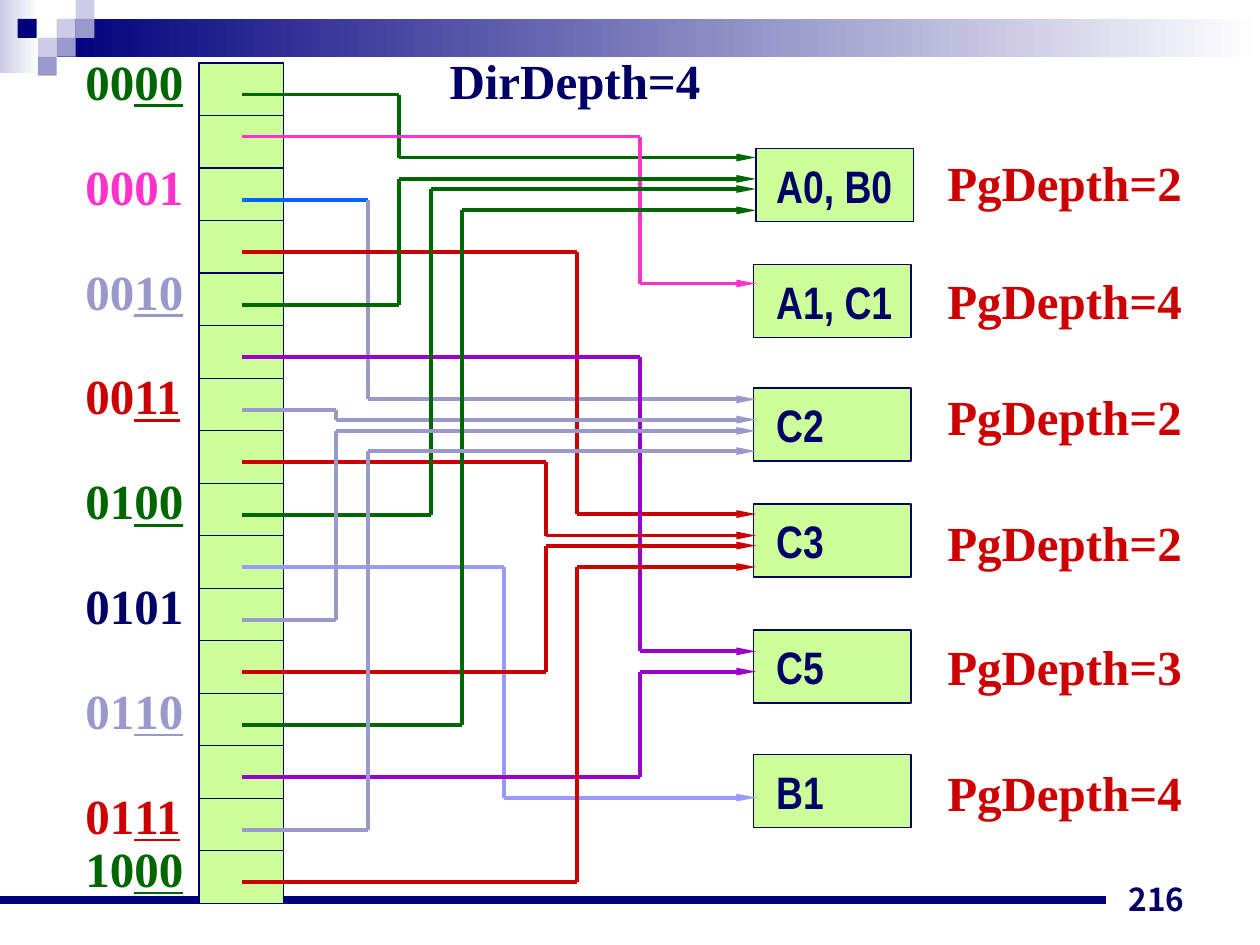
from pptx import Presentation
from pptx.dml.color import RGBColor
from pptx.enum.shapes import MSO_CONNECTOR as Link, MSO_SHAPE as Kind
from pptx.enum.text import MSO_ANCHOR as Anchor, PP_ALIGN as Align
from pptx.oxml.ns import qn
from pptx.util import Inches, Pt
from lxml import etree

NAVY, DARK, GRAY, PALE = "000066", "00007D", "9999CC", "CCCCE6"
GREEN, RED, PINK, BLUE = "006600", "CC0000", "FF33CC", "0066FF"
PLUM, LILAC, LIME = "9900CC", "9999FF", "CCFF99"
SERIF = dict(name="Times New Roman", size=Pt(28), bold=True)
NARROW = dict(name="Arial Narrow", size=Pt(26), bold=True)
NUMBER = dict(name="Noto Sans CJK JP", size=Pt(18), bold=True)

LEFT, WIDE, TOP, ROWS = 1.58, 0.67, 0.5, 16
STEP = 6.67 / ROWS
STUB, TIP = 1.92, 6
GAP = 29.7

# left, top and colour of each square in the corner motif
TILES = [(0.45, 0.15, PALE), (0.6, 0, PALE), (0.6, 0.15, GRAY),
         (0.3, 0.3, PALE), (0.14, 0.15, DARK), (0.45, 0.3, GRAY),
         (0.3, 0.45, GRAY)]

# page text, box left, box top, depth, depth text top
PAGES = [("A0, B0", 6, 1.18, 2, 1.16), ("A1, C1", 5.98, 2.1, 4, 2.1),
         ("C2", 5.98, 3.08, 2, 3.02), ("C3", 5.98, 4, 2, 4.02),
         ("C5", 5.98, 5, 3, 5), ("B1", 5.98, 5.99, 4, 6)]

# directory row, x of the bend, y at the page, colour
ROUTES = [(0, 3.17, 1.25, GREEN), (0.8, 5.08, 2.25, PINK),
          (2, 2.92, 3.17, GRAY), (3, 4.58, 4.08, RED),
          (4, 3.17, 1.42, GREEN), (5, 5.08, 5.17, PLUM),
          (6, 2.67, 3.33, GRAY), (7, 4.33, 4.25, RED),
          (8, 3.42, 1.5, GREEN), (9, 4, 6.33, LILAC),
          (10, 2.67, 3.42, GRAY), (11, 4.33, 4.33, RED),
          (12, 3.67, 1.67, GREEN), (13, 5.08, 5.33, PLUM),
          (14, 2.92, 3.58, GRAY), (15, 4.58, 4.5, RED)]

# plain digits, underlined digits, colour, points before
KEYS = [("00", "00", GREEN, 0), ("0001", "", PINK, GAP),
        ("00", "10", GRAY, GAP), ("00", "11", RED, GAP),
        ("01", "00", GREEN, GAP), ("0101", "", NAVY, GAP),
        ("01", "10", GRAY, GAP), ("01", "11", RED, GAP),
        ("10", "00", GREEN, 0)]


def rgb(code):
    return RGBColor.from_string(code)


def style(font, code, form):
    for key, val in form.items():
        setattr(font, key, val)
    font.color.rgb = rgb(code)


def rect(slide, x, y, w, h, fill, edge=None):
    """Draw a rectangle; a pair of colours makes a left-to-right blend."""
    box = slide.shapes.add_shape(
        Kind.RECTANGLE, Inches(x), Inches(y), Inches(w), Inches(h))
    box.shadow.inherit = False
    if isinstance(fill, tuple):
        box.fill.gradient()
        box.fill.gradient_angle = 0
        for stop, code in zip(box.fill.gradient_stops, fill):
            stop.color.rgb = rgb(code)
    else:
        box.fill.solid()
        box.fill.fore_color.rgb = rgb(fill)
    if edge:
        box.line.color.rgb = rgb(edge)
        box.line.width = Pt(0.75)
    else:
        box.line.fill.background()
    return box


def line(slide, start, end, code, width=2.25, arrow=False):
    link = slide.shapes.add_connector(
        Link.STRAIGHT, *(Inches(v) for v in (*start, *end)))
    link.line.color.rgb = rgb(code)
    link.line.width = Pt(width)
    if arrow:
        etree.SubElement(link.line._get_or_add_ln(), qn("a:tailEnd"),
                         type="triangle", w="sm", len="lg")
    etree.SubElement(link._element.spPr, qn("a:effectLst"))


def text(slide, x, y, w, h, words, code, form, align=Align.LEFT,
         anchor=Anchor.TOP):
    box = slide.shapes.add_textbox(
        Inches(x), Inches(y), Inches(w), Inches(h))
    box.text_frame.vertical_anchor = anchor
    para = box.text_frame.paragraphs[0]
    para.text, para.alignment = words, align
    style(para.runs[0].font, code, form)
    box.text_frame.word_wrap = align == Align.RIGHT


def frame(slide):
    """Draw the banner, corner motif, bottom rule and page number."""
    rect(slide, 0, 0, 0.31, 0.58, (PALE, "FFFFFF"))
    rect(slide, 0.45, 0.15, 9.55, 0.3, (DARK, "FFFFFF"))
    for x, y, code in TILES:
        rect(slide, x, y, 0.15, 0.15, code)
    line(slide, (0, 7.14), (8.78, 7.14), DARK, 4.5)
    text(slide, 7.17, 6.83, 2.33, 0.5, "216", NAVY, NUMBER,
         Align.RIGHT, Anchor.BOTTOM)


def table(slide):
    """Draw the directory column with its row dividers."""
    rect(slide, LEFT, TOP, WIDE, STEP * ROWS, LIME, NAVY)
    for row in range(1, ROWS):
        y = TOP + row * STEP
        line(slide, (LEFT, y), (LEFT + WIDE, y), NAVY, 0.75)


def keys(slide):
    """List the directory keys, ending clear above the bottom rule."""
    box = slide.shapes.add_textbox(
        Inches(0.58), Inches(0.41), Inches(1), Inches(6.82))
    body = box.text_frame
    body.word_wrap = True
    for num, (plain, under, code, gap) in enumerate(KEYS):
        para = body.paragraphs[0] if num == 0 else body.add_paragraph()
        para.line_spacing = 0.9
        para.space_before = Pt(gap)
        for part, mark in ((plain, False), (under, True)):
            if part:
                run = para.add_run()
                run.text = part
                style(run.font, code, dict(SERIF, underline=mark))


def page(slide, name, x, y, depth, top):
    box = rect(slide, x, y, 1.25, 0.58, LIME, NAVY)
    body = box.text_frame
    form = dict(margin_left=Inches(6.16 - x), margin_right=0, margin_top=0,
                margin_bottom=0, vertical_anchor=Anchor.MIDDLE,
                word_wrap=True)
    for key, val in form.items():
        setattr(body, key, val)
    para = body.paragraphs[0]
    para.text, para.alignment = name, Align.LEFT
    style(para.runs[0].font, NAVY, NARROW)
    text(slide, 7.42, top, 2.07, 0.57, f"PgDepth={depth}", RED, SERIF)


def route(slide, row, bend, end, code):
    """Join a directory row to its page by way of one vertical leg."""
    y = TOP + (row + 0.6) * STEP
    line(slide, (STUB, y), (bend, y), BLUE if row == 2 else code)
    line(slide, (bend, y), (bend, end), code)
    line(slide, (bend, end), (TIP, end), code, arrow=True)


def main():
    deck = Presentation()
    deck.slide_width, deck.slide_height = Inches(10), Inches(7.5)
    slide = deck.slides.add_slide(deck.slide_layouts[6])
    frame(slide)
    table(slide)
    keys(slide)
    text(slide, 3.47, 0.35, 2.2, 0.57, "DirDepth=4", NAVY, SERIF)
    for item in PAGES:
        page(slide, *item)
    for item in ROUTES:
        route(slide, *item)
    deck.save("out.pptx")


if __name__ == "__main__":
    main()
